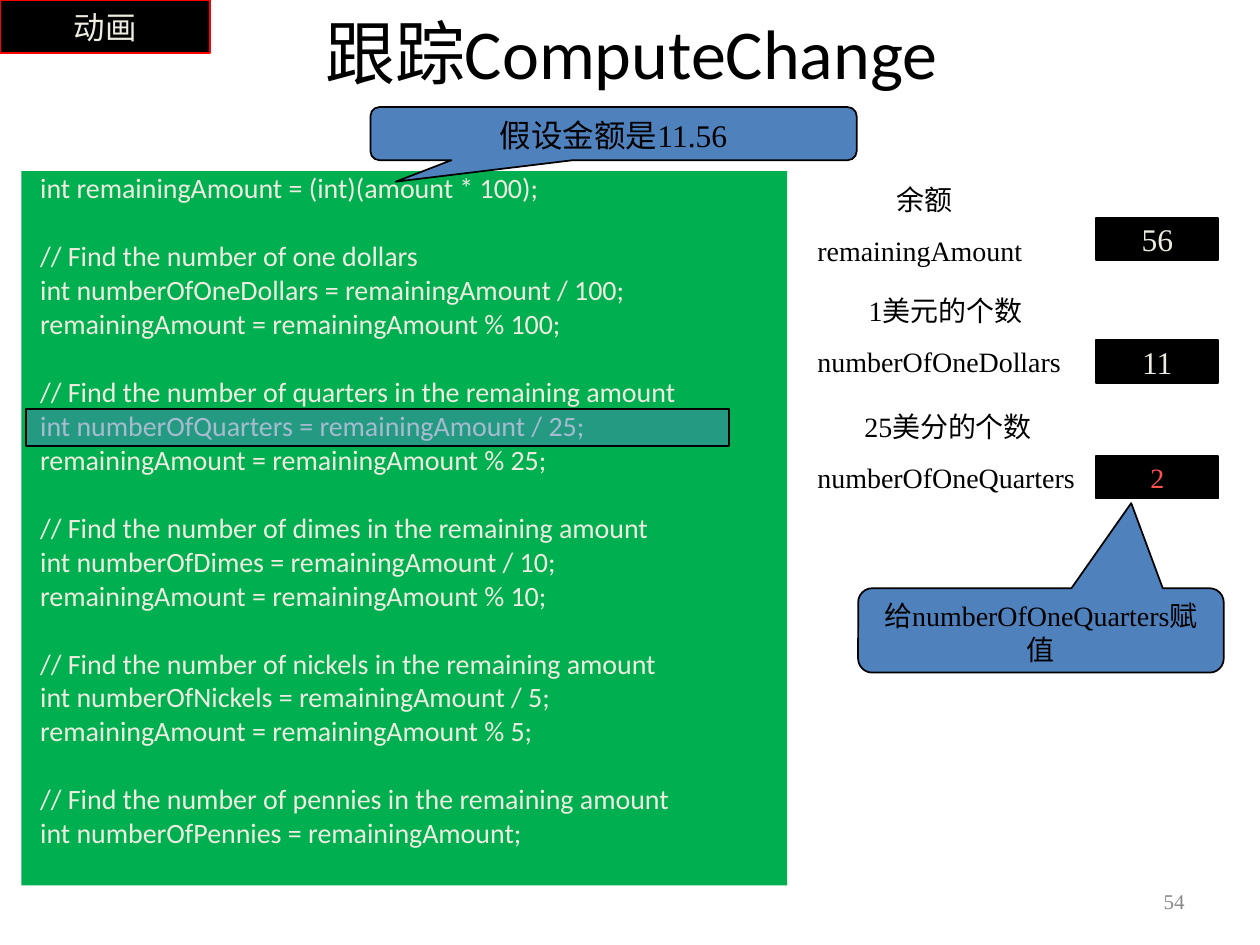
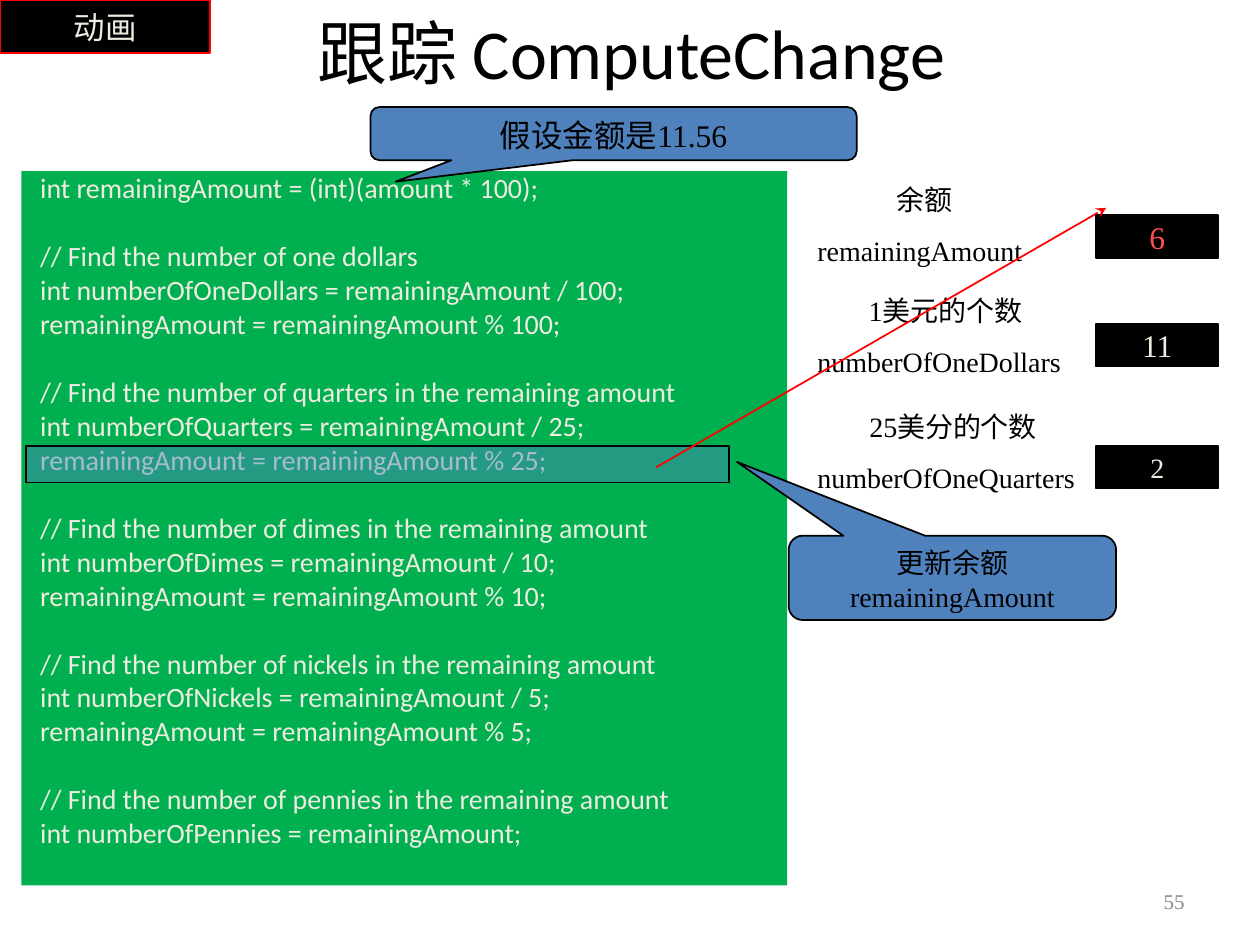
import pptx
import pptx.dml.color
import pptx.enum.dml
import pptx.enum.shapes
import pptx.enum.text
import pptx.oxml
import pptx.oxml.ns
import pptx.util
from pptx.util import Cm

SHAPE = pptx.enum.shapes.MSO_SHAPE
ALIGN = pptx.enum.text.PP_ALIGN
ANCHOR = pptx.enum.text.MSO_ANCHOR
BLACK, CREAM, GREEN, BLUE = "000000", "EEECE1", "00B050", "4F81BD"
RED, CORAL, GRAY = "FF0000", "FF5050", "898989"
SANS, SERIF = "Calibri", "Times New Roman"

CODE = """int remainingAmount = (int)(amount * 100);

// Find the number of one dollars
int numberOfOneDollars = remainingAmount / 100;
remainingAmount = remainingAmount % 100;

// Find the number of quarters in the remaining amount
int numberOfQuarters = remainingAmount / 25;
remainingAmount = remainingAmount % 25;

// Find the number of dimes in the remaining amount
int numberOfDimes = remainingAmount / 10;
remainingAmount = remainingAmount % 10;

// Find the number of nickels in the remaining amount
int numberOfNickels = remainingAmount / 5;
remainingAmount = remainingAmount % 5;

// Find the number of pennies in the remaining amount
int numberOfPennies = remainingAmount;"""

LABELS = [
    ("余额\nremainingAmount", 3.56, 4.8),
    ("1美元的个数\nnumberOfOneDollars", 5.79, 5.66),
    ("25美分的个数\nnumberOfOneQuarters", 8.13, 5.77),
]

STEPS = [
    dict(
        title="跟踪ComputeChange", page="54", mark=8.25, last=5.77,
        cells=[("56", 4.39, 18, CREAM), ("11", 6.86, 18, CREAM), ("2", 9.19, 16, CORAL)],
        note=("给numberOfOneQuarters赋值", (17.3, 11.86, 7.37, 1.7), (0.247, -1.51)),
        arrow=None,
    ),
    dict(
        title="跟踪 ComputeChange", page="55", mark=8.99, last=5.97,
        cells=[("6", 4.34, 18, CORAL), ("11", 6.53, 18, CREAM), ("2", 8.99, 16, CREAM)],
        note=("更新余额remainingAmount", (15.9, 10.8, 6.6, 1.7), (-0.658, -1.375)),
        arrow=(13.23, 9.42, 22.3, 4.19),
    ),
]


def paint(target, color):
    target.rgb = pptx.dml.color.RGBColor.from_string(color)


def write(frame, text, font=SERIF, size=16, color=BLACK, align=ALIGN.CENTER,
          anchor=ANCHOR.TOP, before=0, gap=0, line=None):
    frame.word_wrap = True
    frame.vertical_anchor = anchor
    first = True
    for group in text.split("\n\n"):
        for row, words in enumerate(group.split("\n")):
            para = frame.paragraphs[0] if first else frame.add_paragraph()
            para.alignment = align
            para.space_before = pptx.util.Pt(before if row or first else gap)
            para.line_spacing = line
            run = para.add_run()
            run.text = words
            run.font.name = font
            run.font.size = pptx.util.Pt(size)
            paint(run.font.color, color)
            first = False


def block(slide, box, fill, line=None, kind=SHAPE.RECTANGLE):
    shape = slide.shapes.add_shape(kind, *map(Cm, box))
    shape.shadow.inherit = False
    shape.fill.solid()
    paint(shape.fill.fore_color, fill)
    if line:
        paint(shape.line.color, line)
        shape.line.width = pptx.util.Pt(1)
    else:
        shape.line.fill.background()
    return shape


def label(slide, box, text, **style):
    frame = slide.shapes.add_textbox(*map(Cm, box)).text_frame
    write(frame, text, **style)
    return frame


def bubble(slide, box, text, tip, size=16):
    shape = block(slide, box, BLUE, BLACK, SHAPE.ROUNDED_RECTANGULAR_CALLOUT)
    for spot, value in enumerate((*tip, 0.167)):
        shape.adjustments[spot] = value
    write(shape.text_frame, text, size=size)


def cell(slide, text, top, size, color):
    frame = block(slide, (22.1, top, 2.46, 0.86), BLACK, BLACK).text_frame
    frame.margin_left = frame.margin_right = Cm(0.03)
    frame.margin_top = frame.margin_bottom = Cm(0.03)
    write(frame, text, size=size, color=color, anchor=ANCHOR.MIDDLE)


def child(parent, tag, **attrs):
    node = pptx.oxml.parse_xml(f"<a:{tag} {pptx.oxml.ns.nsdecls('a')}/>")
    for name, value in attrs.items():
        node.set(name, value)
    parent.append(node)


def mark(slide, top):
    shape = block(slide, (0.53, top, 14.17, 0.74), BLUE, BLACK)
    tint = shape.fill._xPr.find(".//" + pptx.oxml.ns.qn("a:srgbClr"))
    child(tint, "alpha", val="45000")


def arrow(slide, ends):
    link = slide.shapes.add_connector(
        pptx.enum.shapes.MSO_CONNECTOR.STRAIGHT, *map(Cm, ends))
    paint(link.line.color, RED)
    link.line.width = pptx.util.Pt(1)
    child(link.line._get_or_add_ln(), "tailEnd", type="stealth")
    child(link._element.spPr, "effectLst")


def head(slide, text):
    title = slide.shapes.title
    title.left, title.top, title.width, title.height = map(Cm, (1.93, 0.46, 21.59, 1.17))
    title.text_frame.auto_size = pptx.enum.text.MSO_AUTO_SIZE.NONE
    write(title.text_frame, text, font=SANS, size=40, anchor=ANCHOR.MIDDLE)


def code(slide):
    frame = block(slide, (0.43, 3.45, 15.44, 14.4), GREEN).text_frame
    frame.margin_left = Cm(0.38)
    write(frame, CODE, font=SANS, color=CREAM, align=ALIGN.LEFT,
          before=4, gap=23.5, line=0.8)


def build(deck, step):
    slide = deck.slides.add_slide(deck.slide_layouts[5])
    head(slide, step["title"])
    code(slide)
    label(slide, (18.21, 17.65, 5.92, 1.02), step["page"], size=12, color=GRAY,
          align=ALIGN.RIGHT, anchor=ANCHOR.MIDDLE)
    for text, top, width in LABELS:
        if text == LABELS[-1][0]:
            width = step["last"]
        frame = label(slide, (16.23, top, width, 1.96), text, align=ALIGN.LEFT, before=10)
        frame.paragraphs[0].alignment = ALIGN.CENTER
    for item in step["cells"]:
        cell(slide, *item)
    bubble(slide, (7.47, 2.16, 9.8, 1.07), "假设金额是11.56", (-0.448, 0.905), size=18)
    text, box, tip = step["note"]
    bubble(slide, box, text, tip)
    mark(slide, step["mark"])
    if step["arrow"]:
        arrow(slide, step["arrow"])
    badge = block(slide, (0, 0, 4.24, 1.07), BLACK, RED)
    write(badge.text_frame, "动画", font=SANS, size=18, color=CREAM, anchor=ANCHOR.MIDDLE)


def main():
    deck = pptx.Presentation()
    deck.slide_width, deck.slide_height = Cm(25.4), Cm(19.05)
    for step in STEPS:
        build(deck, step)
    deck.save("out.pptx")


if __name__ == "__main__":
    main()
